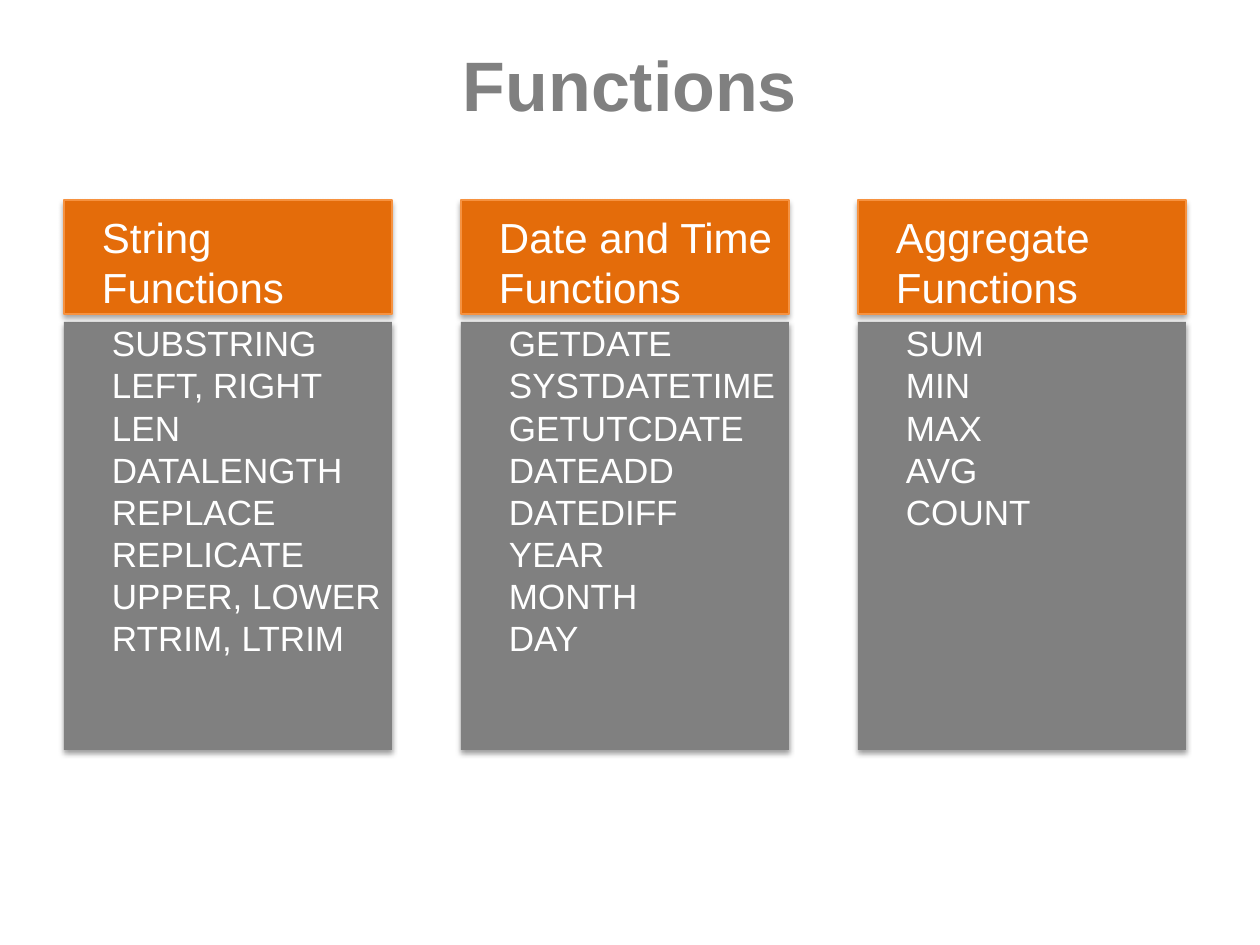
from dataclasses import dataclass

import pptx
import pptx.dml.color
import pptx.enum.shapes
import pptx.enum.text
import pptx.oxml
import pptx.oxml.ns
import pptx.util
from pptx.shapes.autoshape import Shape
from pptx.slide import Slide
from pptx.text.text import _Paragraph

PX = 914400 / 126  # EMU in one px

WHITE = pptx.dml.color.RGBColor(0xFF, 0xFF, 0xFF)
GRAY = pptx.dml.color.RGBColor(0x80, 0x80, 0x80)
ORANGE = pptx.dml.color.RGBColor(0xE4, 0x6C, 0x0A)
LIGHT_ORANGE = pptx.dml.color.RGBColor(0xF6, 0x92, 0x40)

COLUMN_LEFT, COLUMN_STEP, COLUMN_WIDTH = 64, 397, 328
HEADING_TOP, HEADING_HEIGHT = 200, 114
LIST_TOP, LIST_HEIGHT = 322, 428
LIST_INDENT = 48


@dataclass
class FunctionGroup:
    heading: str
    functions: list[str]


GROUPS = [
    FunctionGroup("String Functions", [
        "SUBSTRING", "LEFT, RIGHT", "LEN", "DATALENGTH",
        "REPLACE", "REPLICATE", "UPPER, LOWER", "RTRIM, LTRIM"]),
    FunctionGroup("Date and Time Functions", [
        "GETDATE", "SYSTDATETIME", "GETUTCDATE", "DATEADD",
        "DATEDIFF", "YEAR", "MONTH", "DAY"]),
    FunctionGroup("Aggregate Functions", ["SUM", "MIN", "MAX", "AVG", "COUNT"]),
]


def px(length: int) -> pptx.util.Emu:
    return pptx.util.Emu(round(length * PX))


def add_run(paragraph: _Paragraph, text: str, size: int,
            color: pptx.dml.color.RGBColor, bold: bool = False) -> None:
    run = paragraph.add_run()
    run.text = text
    run.font.name = "Arial"
    run.font.size = pptx.util.Pt(size)
    run.font.bold = bold
    run.font.color.rgb = color


def set_frame(shape: Shape, anchor: pptx.enum.text.MSO_ANCHOR,
              left: int, top: int, right: int, bottom: int) -> None:
    frame = shape.text_frame
    frame.word_wrap = True
    frame.vertical_anchor = anchor
    frame.margin_left, frame.margin_top = px(left), px(top)
    frame.margin_right, frame.margin_bottom = px(right), px(bottom)


def add_shadow(shape: Shape, distance: float, opacity: int) -> None:
    shape.shadow.inherit = False
    effects = shape.element.spPr.find(pptx.oxml.ns.qn("a:effectLst"))
    effects.append(pptx.oxml.parse_xml(
        f'<a:outerShdw {pptx.oxml.ns.nsdecls("a")} blurRad="{pptx.util.Pt(3.1)}" '
        f'dist="{pptx.util.Pt(distance)}" dir="5400000" rotWithShape="0">'
        f'<a:srgbClr val="000000"><a:alpha val="{opacity * 1000}"/></a:srgbClr>'
        '</a:outerShdw>'))


def add_panel(slide: Slide, left: int, top: int, height: int,
              fill: pptx.dml.color.RGBColor) -> Shape:
    panel = slide.shapes.add_shape(
        pptx.enum.shapes.MSO_SHAPE.RECTANGLE,
        px(left), px(top), px(COLUMN_WIDTH), px(height))
    panel.fill.solid()
    panel.fill.fore_color.rgb = fill
    return panel


def add_function_list(slide: Slide, left: int, functions: list[str]) -> None:
    panel = add_panel(slide, left, LIST_TOP, LIST_HEIGHT, GRAY)
    panel.line.fill.background()
    add_shadow(panel, 1.6, 38)
    set_frame(panel, pptx.enum.text.MSO_ANCHOR.TOP, 0, 0, 0, 0)
    frame = panel.text_frame
    for index, function in enumerate(functions):
        paragraph = frame.add_paragraph() if index else frame.paragraphs[0]
        paragraph.alignment = pptx.enum.text.PP_ALIGN.LEFT
        # Blank bullet with a hanging indent
        properties = paragraph._p.get_or_add_pPr()
        properties.set("marL", str(px(LIST_INDENT)))
        properties.set("indent", str(-px(LIST_INDENT)))
        properties.append(pptx.oxml.parse_xml(
            f'<a:buChar {pptx.oxml.ns.nsdecls("a")} char=" "/>'))
        add_run(paragraph, function, 20, WHITE)


def add_heading(slide: Slide, left: int, text: str) -> None:
    panel = add_panel(slide, left, HEADING_TOP, HEADING_HEIGHT, ORANGE)
    panel.line.color.rgb = LIGHT_ORANGE
    panel.line.width = pptx.util.Pt(0.75)
    add_shadow(panel, 1.8, 35)
    set_frame(panel, pptx.enum.text.MSO_ANCHOR.MIDDLE, 38, 15, 13, 6)
    paragraph = panel.text_frame.paragraphs[0]
    paragraph.alignment = pptx.enum.text.PP_ALIGN.LEFT
    add_run(paragraph, text, 24, WHITE)


def add_title(slide: Slide, text: str) -> None:
    title = slide.shapes.add_textbox(px(0), px(33), px(1260), px(102))
    set_frame(title, pptx.enum.text.MSO_ANCHOR.MIDDLE, 13, 6, 13, 6)
    paragraph = title.text_frame.paragraphs[0]
    paragraph.alignment = pptx.enum.text.PP_ALIGN.CENTER
    add_run(paragraph, text, 40, GRAY, bold=True)


def main() -> None:
    deck = pptx.Presentation()
    deck.slide_width, deck.slide_height = px(1260), px(945)
    slide = deck.slides.add_slide(deck.slide_layouts[6])

    # One column per function group
    for index, group in enumerate(GROUPS):
        left = COLUMN_LEFT + index * COLUMN_STEP
        add_function_list(slide, left, group.functions)
        add_heading(slide, left, group.heading)

    add_title(slide, "Functions")
    deck.save("out.pptx")


if __name__ == "__main__":
    main()
